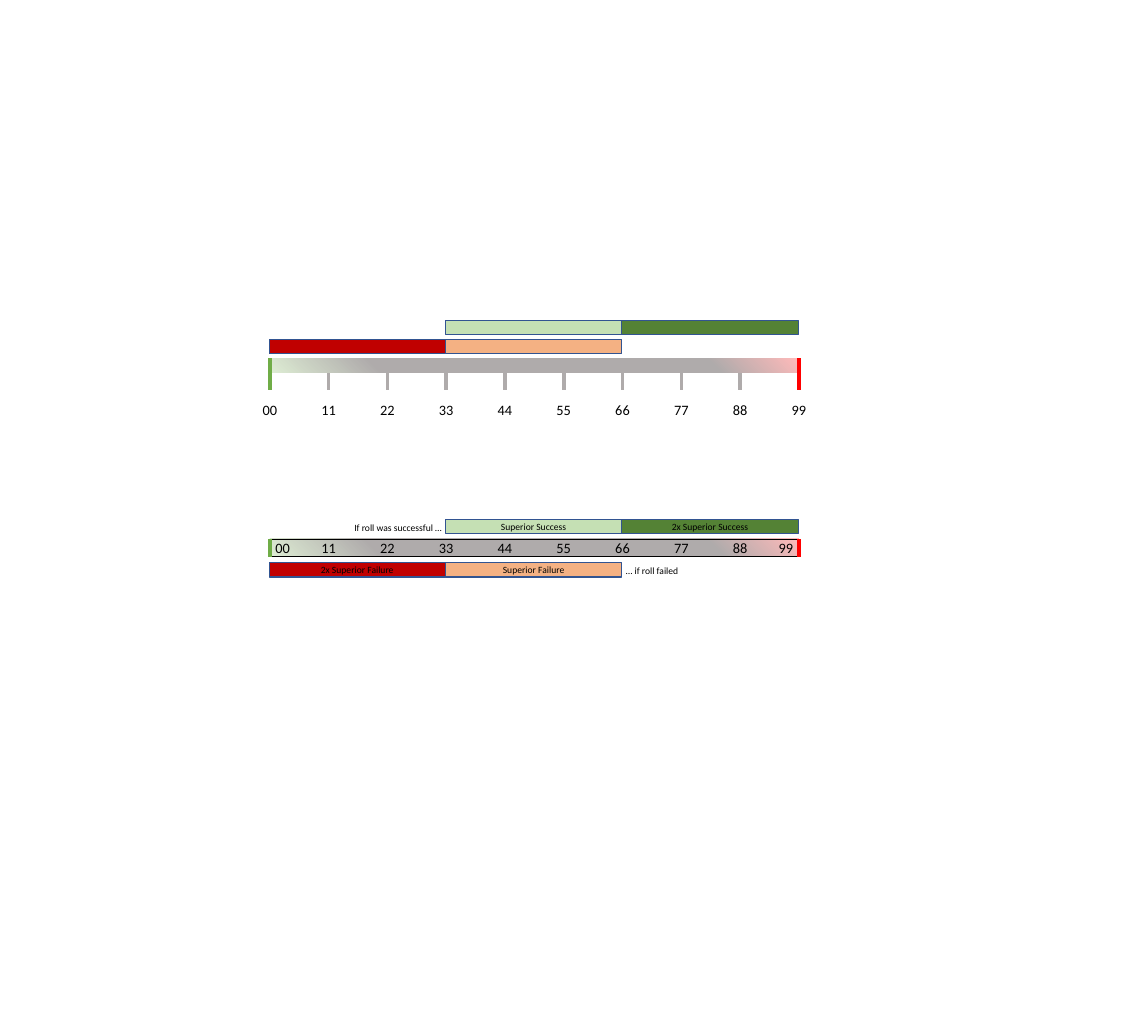
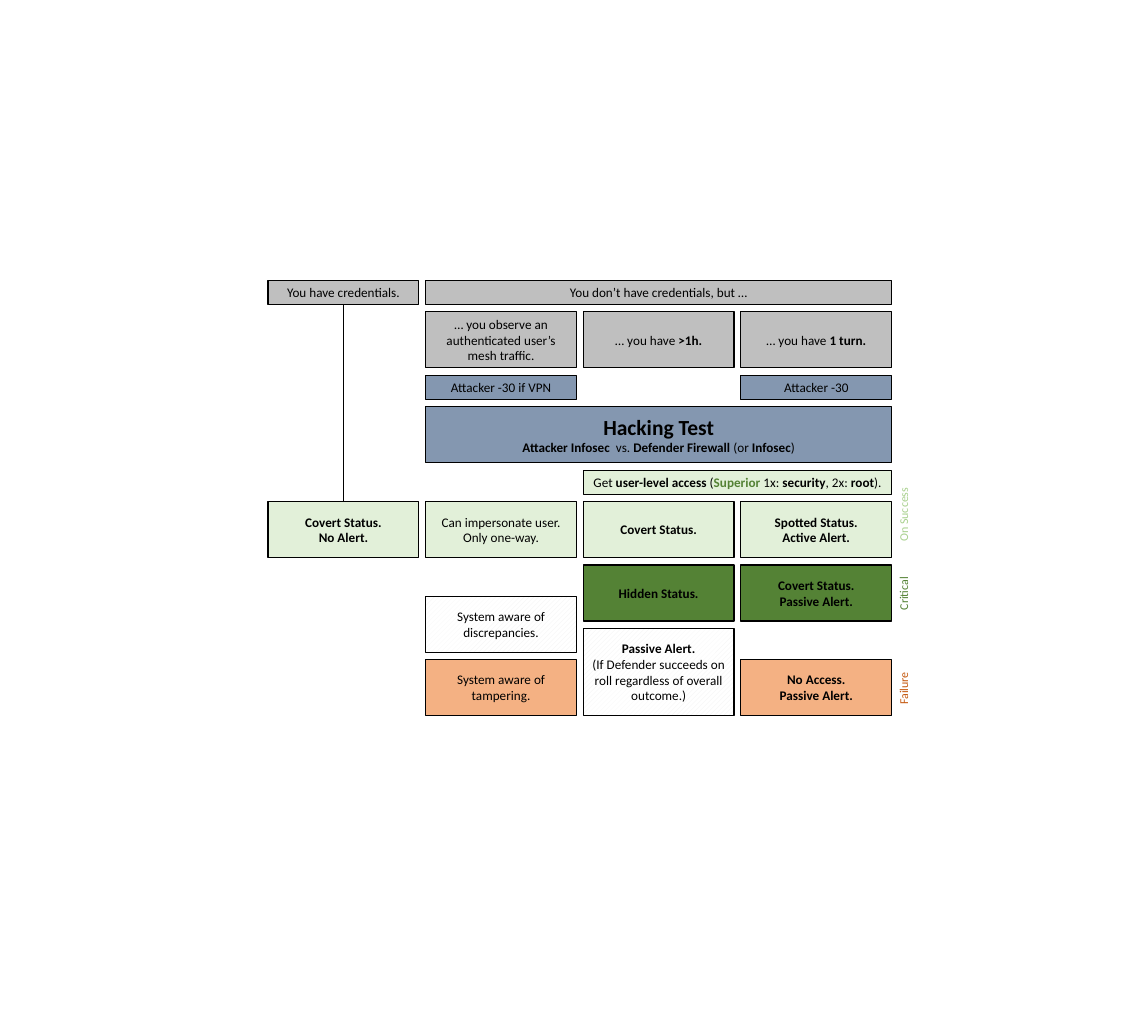
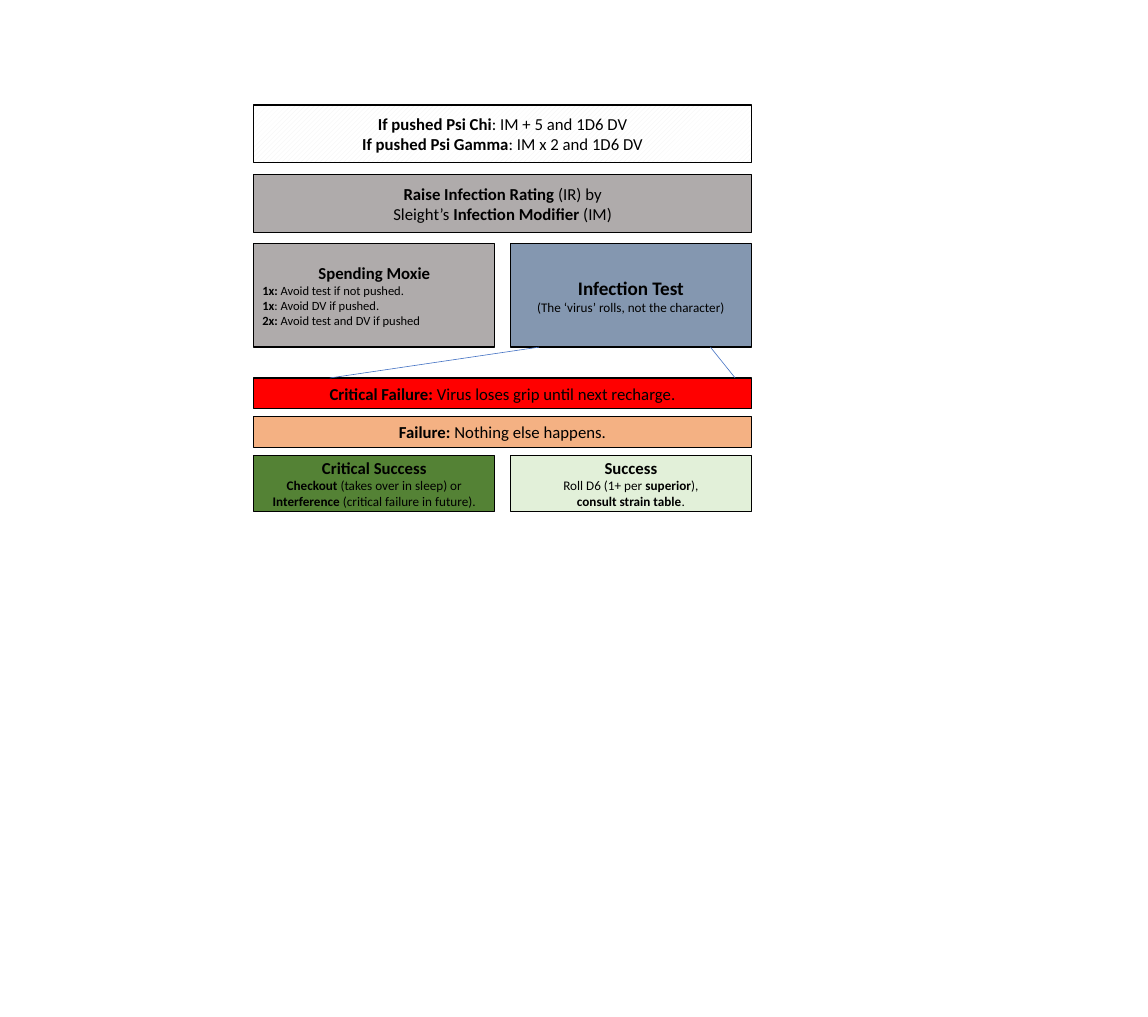
"""Build three rules charts for a role-playing game."""
from dataclasses import dataclass
from typing import Any, Optional, Union

from lxml.etree import SubElement
from pptx import Presentation
from pptx.dml.color import RGBColor
from pptx.enum.dml import MSO_PATTERN
from pptx.enum.shapes import MSO_CONNECTOR, MSO_SHAPE
from pptx.enum.text import MSO_ANCHOR, MSO_AUTO_SIZE, PP_ALIGN
from pptx.oxml.ns import qn
from pptx.util import Cm, Pt


@dataclass(frozen=True)
class Hatch:
    """Diagonal pattern colours."""
    fore: str
    back: str


@dataclass(frozen=True)
class Gradient:
    """Radial gradient stops, as percent and colour, from the top right."""
    stops: tuple[tuple[int, str], ...]


@dataclass(frozen=True)
class Theme:
    """Colours, font and type sizes."""
    font: str = "Calibri"
    black: str = "000000"
    silver: str = "BFBFBF"
    gray: str = "AFABAB"
    slate: str = "8497B0"
    pale: str = "E2F0D9"
    mint: str = "C5E0B4"
    soft_green: str = "A9D18E"
    start_green: str = "70AD47"
    green: str = "548235"
    orange: str = "F4B183"
    rust: str = "C55A11"
    red: str = "FF0000"
    crimson: str = "C00000"
    blue: str = "4472C4"
    band_edge: str = "325491"
    hatch: Hatch = Hatch("F2F2F2", "FFFFFF")
    scale: Gradient = Gradient(
        ((0, "FFBABA"), (17, "AFABAB"), (79, "AFABAB"), (100, "DEEDD4")))
    tiny: float = 8
    side: float = 10
    note: float = 10.5
    body: float = 11
    number: float = 12
    large: float = 14
    test: float = 16
    headline: float = 18


T = Theme()
Fill = Union[str, Hatch, Gradient]


@dataclass(frozen=True)
class Line:
    """One paragraph; asterisks enclose bold words."""
    text: str
    size: float = T.body
    align: PP_ALIGN = PP_ALIGN.CENTER
    color: str = T.black
    accent: str = ""


@dataclass(frozen=True)
class Box:
    """A filled rectangle, in centimetres."""
    x: float
    y: float
    w: float
    h: float
    fill: Fill
    lines: tuple[Line, ...] = ()
    edge: Optional[str] = T.black
    weight: float = 1


@dataclass(frozen=True)
class Label:
    """A text box placed by its centre, in centimetres."""
    cx: float
    cy: float
    w: float
    h: float
    line: Line
    wrap: bool = True
    rotation: float = 0


@dataclass(frozen=True)
class Stroke:
    """A straight line, in centimetres."""
    x1: float
    y1: float
    x2: float
    y2: float
    color: str
    weight: float = 0.5


@dataclass(frozen=True)
class Band:
    """A result range that begins at one of the three thirds."""
    third: int
    y: float
    fill: str
    text: str = ""


def rgb(color: str) -> RGBColor:
    """Turn a hex colour into a colour object."""
    return RGBColor.from_string(color)


def lines(*texts: str, size: float = T.body) -> tuple[Line, ...]:
    """Make centred paragraphs of one size."""
    return tuple(Line(text, size) for text in texts)


def write(tf: Any, content: tuple[Line, ...]) -> None:
    """Write paragraphs and format their runs."""
    for i, line in enumerate(content):
        p = tf.add_paragraph() if i else tf.paragraphs[0]
        p.alignment = line.align
        pieces = [(t, n % 2 == 1) for n, t in enumerate(line.text.split("*")) if t]
        p.text = pieces[0][0]
        for text, _ in pieces[1:]:
            p.add_run().text = text
        for r, (text, bold) in zip(p.runs, pieces):
            r.font.name = T.font
            r.font.size = Pt(line.size)
            r.font.bold = bold
            r.font.color.rgb = rgb(T.green if text == line.accent else line.color)


def paint(sp: Any, fill: Fill) -> None:
    """Fill a shape with a colour, a pattern or a gradient."""
    if isinstance(fill, Hatch):
        sp.fill.patterned()
        sp.fill.pattern = MSO_PATTERN.WIDE_UPWARD_DIAGONAL
        sp.fill.fore_color.rgb = rgb(fill.fore)
        sp.fill.back_color.rgb = rgb(fill.back)
    elif isinstance(fill, Gradient):
        sp.fill.gradient()
        grad = sp.element.spPr.find(qn("a:gradFill"))
        grad.clear()
        stops = SubElement(grad, qn("a:gsLst"))
        for percent, color in fill.stops:
            stop = SubElement(stops, qn("a:gs"), pos=str(percent * 1000))
            SubElement(stop, qn("a:srgbClr"), val=color)
        focus = SubElement(grad, qn("a:path"), path="circle")
        SubElement(focus, qn("a:fillToRect"), l="100000", b="100000")
    else:
        sp.fill.solid()
        sp.fill.fore_color.rgb = rgb(fill)


def add_box(shapes: Any, box: Box) -> None:
    """Draw a rectangle with centred text."""
    sp = shapes.add_shape(MSO_SHAPE.RECTANGLE, Cm(box.x), Cm(box.y), Cm(box.w), Cm(box.h))
    sp.shadow.inherit = False
    paint(sp, box.fill)
    if box.edge:
        sp.line.color.rgb = rgb(box.edge)
        sp.line.width = Pt(box.weight)
    else:
        sp.line.fill.background()
    tf = sp.text_frame
    tf.word_wrap = True
    tf.vertical_anchor = MSO_ANCHOR.MIDDLE
    write(tf, box.lines)


def add_label(shapes: Any, label: Label) -> None:
    """Draw a text box around its centre."""
    sp = shapes.add_textbox(Cm(label.cx - label.w / 2), Cm(label.cy - label.h / 2),
                            Cm(label.w), Cm(label.h))
    sp.rotation = label.rotation
    tf = sp.text_frame
    tf.word_wrap = label.wrap
    tf.auto_size = MSO_AUTO_SIZE.SHAPE_TO_FIT_TEXT
    write(tf, (label.line,))


def add_stroke(shapes: Any, stroke: Stroke) -> None:
    """Draw a straight line without a shadow."""
    sp = shapes.add_connector(MSO_CONNECTOR.STRAIGHT, Cm(stroke.x1), Cm(stroke.y1),
                              Cm(stroke.x2), Cm(stroke.y2))
    sp.line.color.rgb = rgb(stroke.color)
    sp.line.width = Pt(stroke.weight)
    SubElement(sp.element.spPr, qn("a:effectLst"))


def draw_scale(shapes: Any, bar: Box, end_y: float, label_y: float,
               bands: tuple[Band, ...], ticks: bool, nudge: float) -> None:
    """Draw a 00 to 99 scale with its result bands."""
    step = bar.w / 9
    xs = [bar.x + step * i for i in range(10)]
    if ticks:
        for x in xs[1:-1]:
            add_stroke(shapes, Stroke(x, bar.y, x, end_y, T.gray, 3))
    add_box(shapes, bar)
    for x, color in ((xs[0], T.start_green), (xs[-1], T.red)):
        add_stroke(shapes, Stroke(x, bar.y, x, end_y, color, 3))
    for band in bands:
        text = lines(band.text, size=T.tiny) if band.text else ()
        add_box(shapes, Box(bar.x - 0.02 + 3 * step * band.third, band.y, 3 * step, 0.43,
                            band.fill, text, T.band_edge))
    shifts = [nudge] + [0] * 8 + [-nudge]
    for i, (x, shift) in enumerate(zip(xs, shifts)):
        add_label(shapes, Label(x + shift, label_y, 1, 0.77, Line(f"{i}{i}", T.number)))


def draw_rolls(shapes: Any) -> None:
    """Draw the two versions of the roll scale."""
    draw_scale(
        shapes, Box(7.96, 10.57, 15.61, 0.43, T.scale, edge=None), 11.51, 12.1,
        (Band(1, 9.45, T.mint), Band(2, 9.45, T.green),
         Band(0, 10.01, T.crimson), Band(1, 10.01, T.orange)), True, 0)
    group = shapes.add_group_shape().shapes
    draw_scale(
        group, Box(7.96, 15.9, 15.61, 0.51, T.scale, weight=0.5), 16.43, 16.18,
        (Band(1, 15.32, T.mint, "Superior Success"),
         Band(2, 15.32, T.green, "2x Superior Success"),
         Band(0, 16.59, T.crimson, "2x Superior Failure"),
         Band(1, 16.59, T.orange, "Superior Failure")), False, 0.38)
    for cx, cy, w, text in ((11.75, 15.57, 3.12, "If roll was successful …"),
                            (19.24, 16.86, 2.16, "… if roll failed")):
        add_label(group, Label(cx, cy, w, 0.61, Line(text, T.tiny), wrap=False))


def draw_hacking(shapes: Any) -> None:
    """Draw the hacking test on a grid of four columns."""
    left, width, gap = 7.91, 4.45, 0.2
    short, tall, deep, row_gap = 0.71, 1.65, 2.57, 0.22
    rows = [8.27]
    for h in (short, tall, short, tall, short, tall, tall):
        rows.append(rows[-1] + h + row_gap)
    who, how, modifier, test, access, success, critical, alert = rows
    failure = alert + deep - tall
    aware = failure - tall - row_gap

    def cell(col: int, y: float, h: float, fill: Fill, *texts: str, span: int = 1) -> None:
        """Draw one cell of the grid."""
        add_box(shapes, Box(left + col * (width + gap), y, span * (width + gap) - gap, h,
                            fill, lines(*texts)))

    cell(0, who, short, T.silver, "You have credentials.")
    cell(1, who, short, T.silver, "You don’t have credentials, but …", span=3)
    cell(1, how, tall, T.silver, "… you observe an authenticated user’s mesh traffic.")
    cell(2, how, tall, T.silver, "… you have *>1h.*")
    cell(3, how, tall, T.silver, "… you have *1 turn.*")
    cell(1, modifier, short, T.slate, "Attacker -30 if VPN")
    cell(3, modifier, short, T.slate, "Attacker -30")
    x = left + width + gap
    add_box(shapes, Box(x, test, 3 * width + 2 * gap, tall, T.slate, (
        Line("*Hacking Test*", T.headline),
        Line("*Attacker Infosec * vs. *Defender Firewall *(or *Infosec*)"))))
    add_box(shapes, Box(x + width + gap, access, 2 * width + gap, short, T.pale, (
        Line("Get *user-level access *(*Superior* 1x: *security*, 2x: *root*).",
             accent="Superior"),)))
    cell(0, success, tall, T.pale, "*Covert Status.*", "*No Alert.*")
    cell(1, success, tall, T.pale, "Can impersonate user.", "Only one-way.")
    cell(2, success, tall, T.pale, "*Covert Status.*")
    cell(3, success, tall, T.pale, "*Spotted Status.*", "*Active Alert.*")
    cell(2, critical, tall, T.green, "*Hidden Status.*")
    cell(3, critical, tall, T.green, "*Covert Status.*", "*Passive Alert.*")
    cell(1, aware, tall, T.hatch, "System aware of discrepancies.")
    cell(2, alert, deep, T.hatch, "*Passive Alert.*",
         "(If Defender succeeds on roll regardless of overall outcome.)")
    cell(1, failure, tall, T.orange, "System aware of tampering.")
    cell(3, failure, tall, T.orange, "*No Access.*", "*Passive Alert.*")
    center = left + width / 2
    add_stroke(shapes, Stroke(center, who + short, center, success, T.black))
    for cy, w, text, color in ((15.18, 2.82, "On Success", T.soft_green),
                               (17.51, 1.85, "Critical", T.green),
                               (20.31, 1.85, "Failure", T.rust)):
        add_label(shapes, Label(26.66, cy, w, 0.69, Line(text, T.side, color=color),
                                rotation=270))


def draw_infection(shapes: Any) -> None:
    """Draw the infection test and its outcomes."""
    left, full, half = 7.49, 14.68, 7.11
    right = left + full - half
    moxie = (Line("*Spending Moxie*", T.large),) + tuple(
        Line(text, T.note, PP_ALIGN.LEFT) for text in (
            "*1x:* Avoid test if not pushed.",
            "*1x*: Avoid DV if pushed.",
            "*2x: *Avoid test and DV if pushed"))
    boxes = (
        Box(left, 3.1, full, 1.7, T.hatch, lines(
            "*If pushed Psi Chi*: IM + 5 and 1D6 DV",
            "*If pushed Psi Gamma*: IM x 2 and 1D6 DV", size=T.large)),
        Box(left, 5.16, full, 1.7, T.gray, lines(
            "*Raise Infection Rating *(IR) by",
            "Sleight’s *Infection Modifier *(IM)", size=T.large)),
        Box(left, 7.19, half, 3.05, T.gray, moxie),
        Box(right, 7.19, half, 3.05, T.slate, (
            Line("*Infection Test*", T.test),
            Line("(The ‘virus’ rolls, not the character)"))),
        Box(left, 11.15, full, 0.91, T.red, lines(
            "*Critical Failure: *Virus loses grip until next recharge.", size=T.large)),
        Box(left, 12.29, full, 0.91, T.orange, lines(
            "*Failure: *Nothing else happens.", size=T.large)),
        Box(left, 13.44, half, 1.65, T.green, (
            Line("*Critical Success*", T.large),
            Line("*Checkout* (takes over in sleep) or"),
            Line("*Interference* (critical failure in future)."))),
        Box(right, 13.44, half, 1.65, T.pale, (
            Line("*Success*", T.large),
            Line("Roll D6 (1+ per *superior*),"),
            Line("*consult strain table*."))),
    )
    for box in boxes:
        add_box(shapes, box)
    for top, bottom in ((15.9, 9.73), (20.96, 21.69)):
        add_stroke(shapes, Stroke(top, 10.24, bottom, 11.15, T.blue))


def main() -> None:
    """Build and save the presentation."""
    prs = Presentation()
    prs.slide_width, prs.slide_height = Cm(33.87), Cm(30)
    for draw in (draw_rolls, draw_hacking, draw_infection):
        s = prs.slides.add_slide(prs.slide_layouts[6])
        draw(s.shapes)
    prs.save("out.pptx")


if __name__ == "__main__":
    main()
